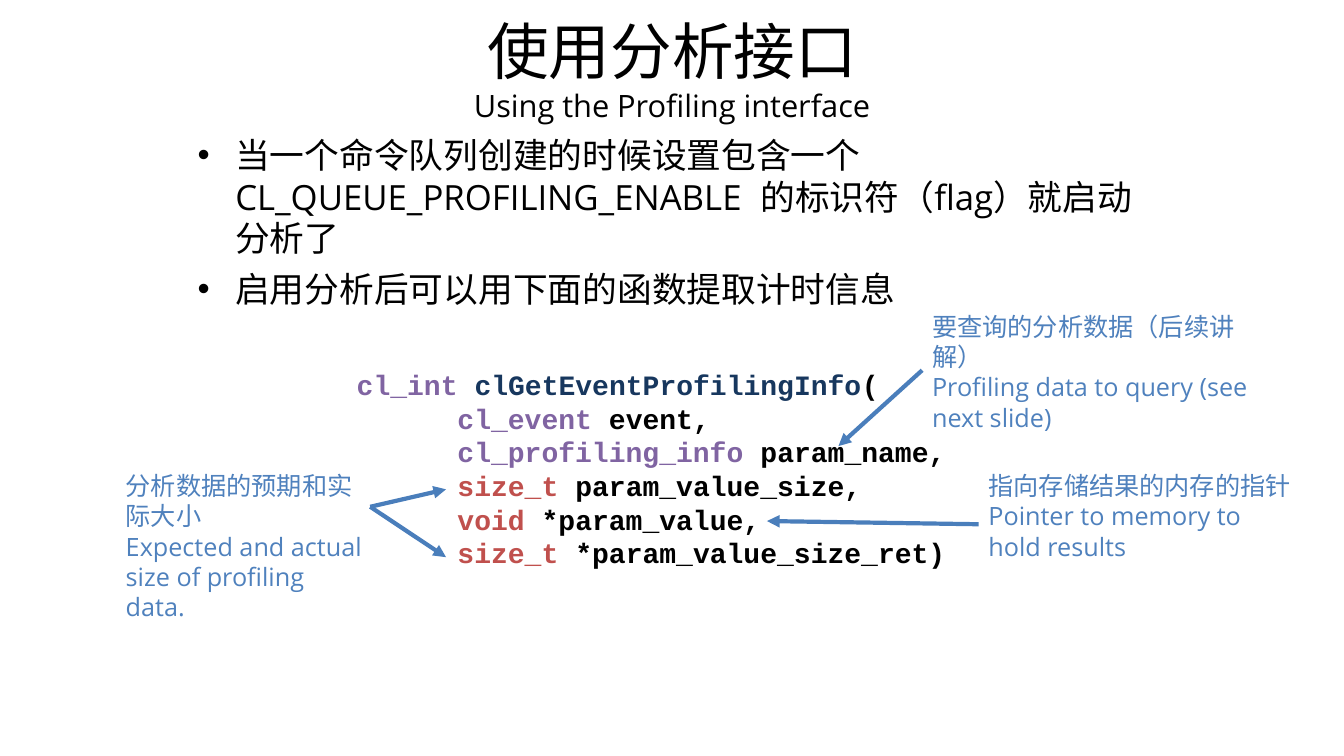
import pptx
import pptx.util
import pptx.dml.color
import pptx.enum.text
import pptx.enum.shapes
import pptx.oxml
import pptx.oxml.ns
from lxml import etree

Cm = pptx.util.Cm
Pt = pptx.util.Pt
RGB = pptx.dml.color.RGBColor
qn = pptx.oxml.ns.qn

BLACK = RGB(0x00, 0x00, 0x00)
PURPLE = RGB(0x80, 0x64, 0xA2)
NAVY = RGB(0x17, 0x37, 0x5E)
RED = RGB(0xC0, 0x50, 0x4D)
NOTE_BLUE = RGB(0x4F, 0x81, 0xBD)
ARROW_BLUE = RGB(0x4A, 0x7E, 0xBB)
SANS = "Open Sans"
MONO = "Courier New"


def add_run(p, text, size, color, font=SANS, bold=False):
    """Append one formatted run to a paragraph."""
    r = p.add_run()
    r.text = text
    r.font.size = Pt(size)
    r.font.name = font
    r.font.bold = bold
    r.font.color.rgb = color


def add_box(left, top, width, height):
    """Add a wrapping text box, in centimetres, and return its text frame."""
    tf = s.shapes.add_textbox(Cm(left), Cm(top), Cm(width), Cm(height)).text_frame
    tf.word_wrap = True
    return tf


prs = pptx.Presentation()
prs.slide_width = Cm(33.87)
prs.slide_height = Cm(19.05)
s = prs.slides.add_slide(prs.slide_layouts[5])

# Title
title = s.shapes.title
title.left, title.top, title.width, title.height = Cm(5.51), Cm(0.13), Cm(22.86), Cm(3.18)
tf = title.text_frame
tf.auto_size = pptx.enum.text.MSO_AUTO_SIZE.NONE
tf.vertical_anchor = pptx.enum.text.MSO_ANCHOR.MIDDLE
title_lines = [("使用分析接口", 44), ("Using the Profiling interface", 22)]
for i, (text, size) in enumerate(title_lines):
    p = tf.add_paragraph() if i else tf.paragraphs[0]
    p.alignment = pptx.enum.text.PP_ALIGN.CENTER
    add_run(p, text, size, BLACK)

# Bullets
bullets = [
    "当一个命令队列创建的时候设置包含一个 CL_QUEUE_PROFILING_ENABLE  的标识符（flag）就启动分析了",
    "启用分析后可以用下面的函数提取计时信息",
]
tf = add_box(4.72, 3.25, 24.41, 3.89)
for i, text in enumerate(bullets):
    p = tf.add_paragraph() if i else tf.paragraphs[0]
    p.space_before = Pt(6.4)
    add_run(p, text, 24.8, BLACK)
    pPr = p._p.get_or_add_pPr()
    pPr.set("marL", str(Cm(0.96)))
    pPr.set("indent", str(Cm(-0.95)))
    etree.SubElement(pPr, qn("a:buFont")).set("typeface", "Arial")
    etree.SubElement(pPr, qn("a:buChar")).set("char", "•")

# Function signature, with one tab stop for the parameters
signature = [
    [("cl_int ", PURPLE), ("clGetEventProfilingInfo", NAVY), ("(", BLACK)],
    [("\tcl_event ", PURPLE), ("event,", BLACK)],
    [("\tcl_profiling_info ", PURPLE), ("param_name,", BLACK)],
    [("\tsize_t ", RED), ("param_value_size,", BLACK)],
    [("\tvoid", RED), (" *param_value,", BLACK)],
    [("\tsize_t ", RED), ("*param_value_size_ret)", BLACK)],
]
tf = add_box(8.74, 9.14, 15.8, 5.33)
for i, parts in enumerate(signature):
    p = tf.add_paragraph() if i else tf.paragraphs[0]
    tabs = etree.SubElement(p._p.get_or_add_pPr(), qn("a:tabLst"))
    etree.SubElement(tabs, qn("a:tab"), pos=str(Cm(2.54)), algn="l")
    for text, color in parts:
        add_run(p, text, 20, color, MONO, True)

# Parameter notes: left, top, width, height, paragraphs
notes = [
    (2.92, 11.73, 6.6, 4.06,
     ["分析数据的预期和实际大小", "Expected and actual size of profiling data."]),
    (23.24, 7.72, 8.97, 3.3,
     ["要查询的分析数据（后续讲解）", "Profiling data to query (see next slide)"]),
    (24.66, 11.73, 8.31, 2.54,
     ["指向存储结果的内存的指针", "Pointer to memory to hold results"]),
]
for left, top, width, height, lines in notes:
    tf = add_box(left, top, width, height)
    for i, text in enumerate(lines):
        p = tf.add_paragraph() if i else tf.paragraphs[0]
        add_run(p, text, 18, NOTE_BLUE)

# Arrows from notes to parameters: x1, y1, x2, y2
arrows = [
    (9.33, 12.77, 11.24, 12.33),
    (9.33, 12.77, 11.24, 14.04),
    (23.24, 9.33, 21.13, 11.24),
    (24.66, 13.21, 19.33, 13.13),
]
for x1, y1, x2, y2 in arrows:
    arrow = s.shapes.add_connector(
        pptx.enum.shapes.MSO_CONNECTOR.STRAIGHT, Cm(x1), Cm(y1), Cm(x2), Cm(y2))
    arrow.line.color.rgb = ARROW_BLUE
    arrow.line.width = Pt(3)
    spPr = arrow._element.spPr
    etree.SubElement(spPr.get_or_add_ln(), qn("a:tailEnd")).set("type", "triangle")
    etree.SubElement(spPr, qn("a:effectLst"))

prs.save("out.pptx")
